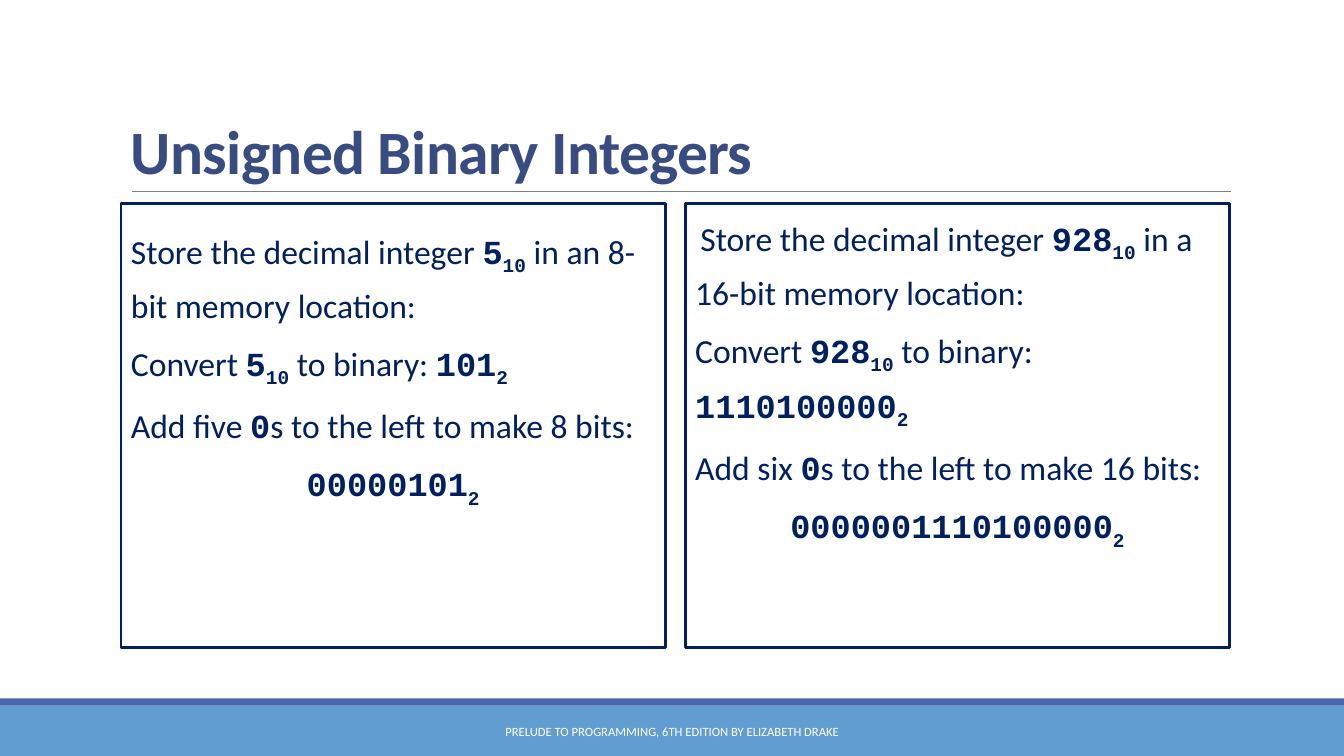
from dataclasses import dataclass
from itertools import cycle

import pptx
import pptx.util
from lxml import etree
from pptx.dml.color import RGBColor
from pptx.enum.shapes import MSO_CONNECTOR, MSO_SHAPE
from pptx.enum.text import MSO_ANCHOR, PP_ALIGN
from pptx.oxml.ns import qn
from pptx.util import Cm, Pt

NAVY = RGBColor(0x00, 0x20, 0x60)
INDIGO = RGBColor(0x38, 0x4C, 0x81)
BLUE = RGBColor(0x4A, 0x66, 0xAC)
SKY = RGBColor(0x62, 0x9D, 0xD1)
GRAY = RGBColor(0x80, 0x80, 0x80)
WHITE = RGBColor(0xFF, 0xFF, 0xFF)

STYLES = ("plain", "code", "sub")


@dataclass
class Band:
    top: float
    height: float
    color: RGBColor


@dataclass
class Panel:
    left: float
    inset: float
    indent: float
    lines: tuple[str, ...]
    answer: str


BANDS = (Band(17.78, 1.27, SKY), Band(17.6, 0.18, BLUE))

PANELS = (
    Panel(3.05, 0.46, 0, (
        "Store the decimal integer |5|10| in an 8-bit memory location:",
        "Convert |5|10| to binary: |101|2",
        "Add five |0||s to the left to make 8 bits:",
    ), "|00000101|2"),
    Panel(17.27, 0.13, 0.13, (
        "Store the decimal integer |928|10| in a 16-bit memory location:",
        "Convert |928|10| to binary: |1110100000|2",
        "Add six |0||s to the left to make 16 bits:",
    ), "|0000001110100000|2"),
)


def add_band(slide, band: Band) -> None:
    shape = slide.shapes.add_shape(
        MSO_SHAPE.RECTANGLE, 0, Cm(band.top), Cm(33.87), Cm(band.height))
    shape.shadow.inherit = False
    shape.fill.solid()
    shape.fill.fore_color.rgb = band.color
    shape.line.fill.background()


def add_rule(slide) -> None:
    rule = slide.shapes.add_connector(
        MSO_CONNECTOR.STRAIGHT, Cm(3.33), Cm(4.83), Cm(31.01), Cm(4.83))
    rule.line.color.rgb = GRAY
    rule.line.width = Pt(0.5)
    etree.SubElement(rule._element.spPr, qn("a:effectLst"))


def set_font(para, size: float, color: RGBColor) -> None:
    para.font.size = Pt(size)
    para.font.color.rgb = color


def add_label(slide, box: tuple[float, ...], text: str, size: float,
              color: RGBColor, anchor: MSO_ANCHOR):
    frame = slide.shapes.add_textbox(*map(Cm, box)).text_frame
    frame.word_wrap = True
    frame.vertical_anchor = anchor
    para = frame.paragraphs[0]
    para.add_run().text = text
    set_font(para, size, color)
    para.font.name = "Calibri"
    return para


def add_runs(para, text: str) -> None:
    for part, style in zip(text.split("|"), cycle(STYLES)):
        if not part:
            continue
        run = para.add_run()
        run.text = part
        run.font.name = "Calibri" if style == "plain" else "Courier New"
        run.font.bold = style != "plain"
        if style == "sub":
            run._r.get_or_add_rPr().set("baseline", "-25000")


def add_panel(slide, panel: Panel) -> None:
    box = slide.shapes.add_textbox(
        Cm(panel.left), Cm(5.13), Cm(13.72), Cm(11.18))
    box.line.color.rgb = NAVY
    box.line.width = Pt(2)
    frame = box.text_frame
    frame.word_wrap = True
    frame.margin_left = frame.margin_right = 0
    frame.margin_top = Cm(panel.inset)
    for index, text in enumerate((*panel.lines, panel.answer)):
        para = frame.add_paragraph() if index else frame.paragraphs[0]
        para.line_spacing = 1.2
        para.space_before = Pt(6 if index else 0)
        props = para._p.get_or_add_pPr()
        if text == panel.answer:
            para.alignment = PP_ALIGN.CENTER
        else:
            props.set("marL", str(Cm(0.25)))
            props.set("indent", str(Cm(0 if index else panel.indent)))
        set_font(para, 24, NAVY)
        add_runs(para, text)


def main() -> None:
    deck = pptx.Presentation()
    deck.slide_width, deck.slide_height = Cm(33.87), Cm(19.05)
    slide = deck.slides.add_slide(deck.slide_layouts[6])
    for band in BANDS:
        add_band(slide, band)
    add_rule(slide)
    title = add_label(slide, (3.05, 0.79, 27.94, 4.04),
                      "Unsigned Binary Integers", 44, INDIGO, MSO_ANCHOR.BOTTOM)
    title.line_spacing = 0.85
    title.font.bold = True
    title.runs[0]._r.get_or_add_rPr().set("spc", "-50")
    for panel in PANELS:
        add_panel(slide, panel)
    foot = add_label(slide, (10.24, 17.93, 13.39, 1.02),
                     "PRELUDE TO PROGRAMMING, 6TH EDITION BY ELIZABETH DRAKE",
                     9, WHITE, MSO_ANCHOR.MIDDLE)
    foot.alignment = PP_ALIGN.CENTER
    deck.save("out.pptx")


if __name__ == "__main__":
    main()
